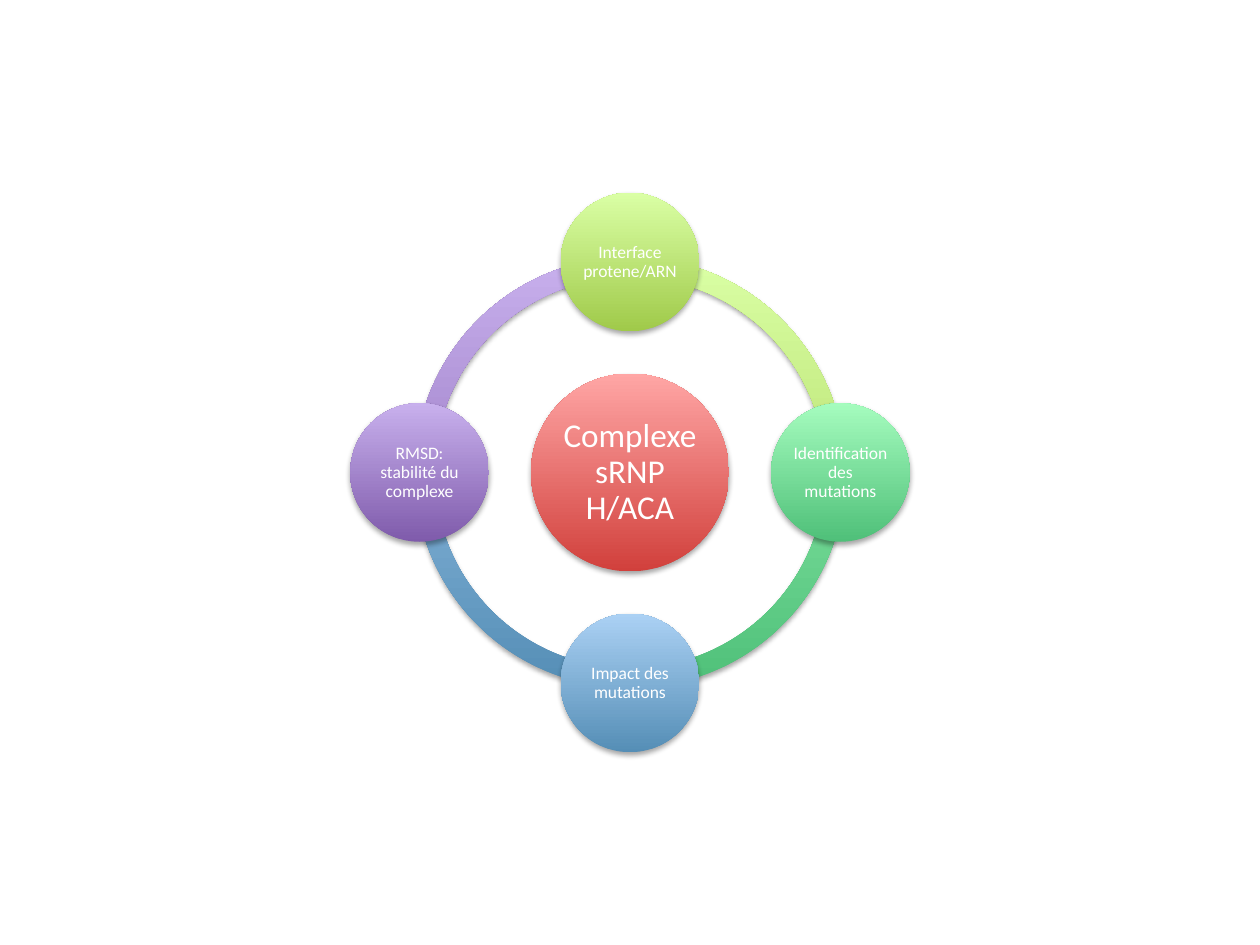
import math
from dataclasses import dataclass

from lxml import etree
from pptx import Presentation
from pptx import util as u
from pptx.dml.color import RGBColor
from pptx.enum import shapes, text
from pptx.oxml import ns

CENTER_X, CENTER_Y = 5.0, 3.75
ORBIT = 1.67  # distance from the hub centre to each satellite centre
RING_SIZE, RING_WIDTH = 3.42, 0.046
QUARTER = 54  # 90 degrees in block-arc adjustment units
INSET = u.Inches(0.01)


@dataclass
class Circle:
    label: str
    dark: str
    light: str
    size: float = 1.1
    font_size: int = 10


HUB = Circle("Complexe sRNP H/ACA", "D1403C", "FFA6A5", 1.57, 19)

# Clockwise from the top
SATELLITES = [
    Circle("Interface protene/ARN", "A0CA4A", "DAFFA5"),
    Circle("Identification des mutations", "4FC079", "A5FCBE"),
    Circle("Impact des mutations", "558EB6", "ABD1F4"),
    Circle("RMSD: stabilité du complexe", "7F5BAB", "C8B0ED"),
]

FRAME_FORMAT = {
    "word_wrap": True, "vertical_anchor": text.MSO_ANCHOR.MIDDLE,
    "margin_left": INSET, "margin_right": INSET,
    "margin_top": INSET, "margin_bottom": INSET,
}


def rgb(color: str) -> RGBColor:
    return RGBColor.from_string(color)


def add_shadow(s) -> None:
    s.shadow.inherit = False
    effects = s._element.spPr.find(ns.qn("a:effectLst"))
    shadow = etree.SubElement(
        effects, ns.qn("a:outerShdw"), blurRad=str(u.Pt(3.1)), dist=str(u.Pt(1.8)),
        dir="5400000", rotWithShape="0")
    color = etree.SubElement(shadow, ns.qn("a:srgbClr"), val="000000")
    etree.SubElement(color, ns.qn("a:alpha"), val="35000")


def add_centered(group, kind, x: float, y: float, size: float, dark: str, light: str):
    """Add a square-sized shape centred on x, y, shaded from light top to dark bottom."""
    s = group.shapes.add_shape(kind, u.Inches(x - size / 2), u.Inches(y - size / 2),
                               u.Inches(size), u.Inches(size))
    s.fill.gradient()
    s.fill.gradient_angle = 90
    for stop, color in zip(s.fill.gradient_stops, (dark, light)):
        stop.color.rgb = rgb(color)
    s.line.fill.background()
    add_shadow(s)
    return s


def add_arc(group, index: int, c: Circle) -> None:
    """Add the ring quarter that follows satellite number index clockwise."""
    s = add_centered(group, shapes.MSO_SHAPE.BLOCK_ARC, CENTER_X, CENTER_Y,
                     RING_SIZE, c.dark, c.light)
    start, end = ((index + step) % 4 * QUARTER for step in (3, 4))
    for i, value in enumerate((start, end, RING_WIDTH)):
        s.adjustments[i] = value


def add_circle(group, c: Circle, x: float, y: float) -> None:
    s = add_centered(group, shapes.MSO_SHAPE.OVAL, x, y, c.size, c.dark, c.light)
    tf = s.text_frame
    for name, value in FRAME_FORMAT.items():
        setattr(tf, name, value)
    p = tf.paragraphs[0]
    p.alignment = text.PP_ALIGN.CENTER
    p.line_spacing = 0.9
    r = p.add_run()
    r.text = c.label
    r.font.name = "Calibri"
    r.font.size = u.Pt(c.font_size)
    r.font.color.rgb = rgb("FFFFFF")


def main() -> None:
    prs = Presentation()
    prs.slide_width, prs.slide_height = u.Inches(10), u.Inches(7.5)
    slide = prs.slides.add_slide(prs.slide_layouts[6])
    group = slide.shapes.add_group_shape()

    # Ring quarters, behind the circles
    for index, c in reversed(list(enumerate(SATELLITES))):
        add_arc(group, index, c)

    # Hub
    add_circle(group, HUB, CENTER_X, CENTER_Y)

    # Satellites
    for index, c in enumerate(SATELLITES):
        angle = math.radians(90 * index)
        add_circle(group, c, CENTER_X + ORBIT * math.sin(angle),
                   CENTER_Y - ORBIT * math.cos(angle))

    prs.save("out.pptx")


if __name__ == "__main__":
    main()
